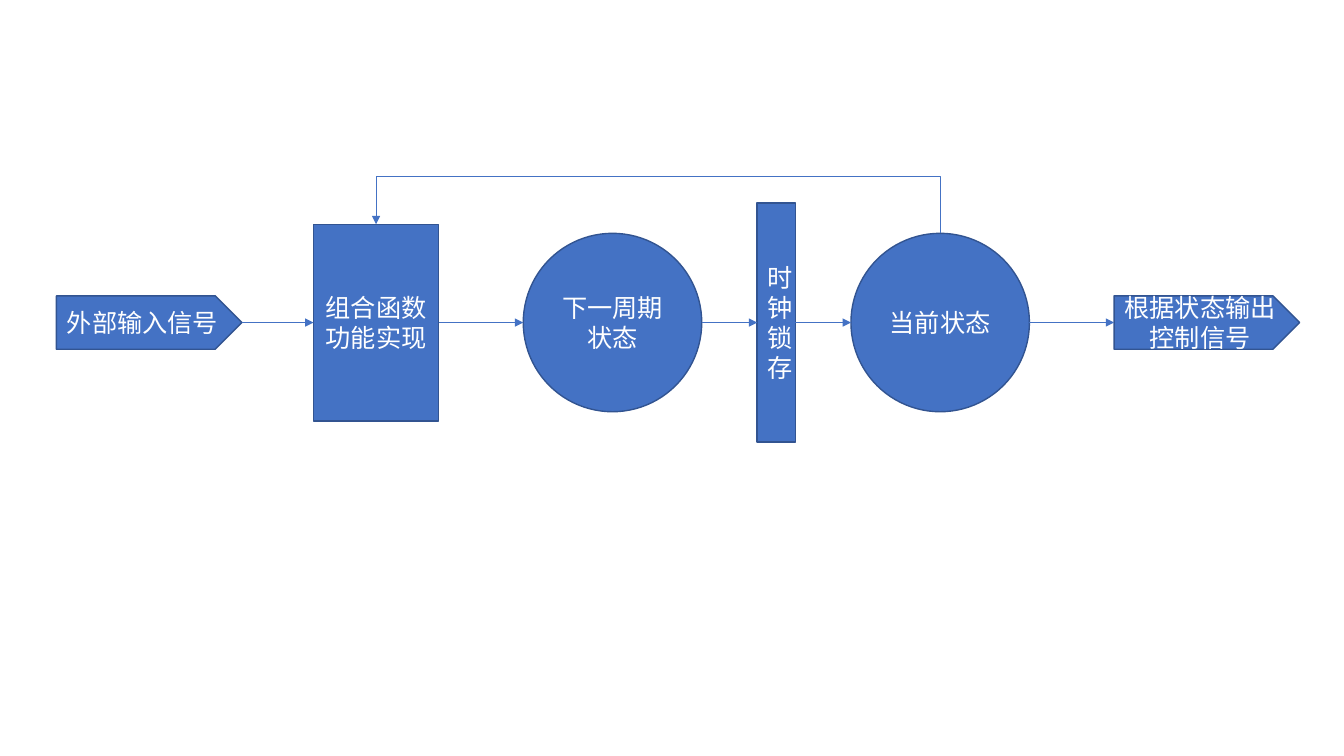
from lxml import etree
from pptx import Presentation
from pptx.dml.color import RGBColor
from pptx.enum.shapes import MSO_CONNECTOR, MSO_SHAPE
from pptx.enum.text import MSO_ANCHOR, PP_ALIGN
from pptx.oxml.ns import qn
from pptx.util import Inches, Pt

PENTAGON, RECTANGLE, OVAL = MSO_SHAPE.PENTAGON, MSO_SHAPE.RECTANGLE, MSO_SHAPE.OVAL
STRAIGHT, ELBOW = MSO_CONNECTOR.STRAIGHT, MSO_CONNECTOR.ELBOW
MIDDLE, CENTER = MSO_ANCHOR.MIDDLE, PP_ALIGN.CENTER

THEME = {
    "fill": RGBColor(0x44, 0x72, 0xC4),
    "outline": RGBColor(0x32, 0x54, 0x91),
    "text": RGBColor(0xFF, 0xFF, 0xFF),
    "font": "Noto Sans CJK SC",
    "size": Pt(18),
    "outline_width": Pt(1),
    "arrow_width": Pt(0.5),
}
FONT_FORMAT = {"name": THEME["font"], "size": THEME["size"]}

AXIS = 3.2  # height of the line on which every stage is centred
FEEDBACK_TOP = 1.75

# kind, left, width, height, text
STAGES = [
    (PENTAGON, 0.56, 1.84, 0.53, "外部输入信号"),
    (RECTANGLE, 3.11, 1.24, 1.95, "组合函数\n功能实现"),
    (OVAL, 5.19, 1.77, 1.77, "下一周期\n状态"),
    (RECTANGLE, 7.51, 0.38, 2.37, "时钟锁存"),
    (OVAL, 8.44, 1.77, 1.77, "当前状态"),
    (PENTAGON, 11.05, 1.84, 0.53, "根据状态输出控制信号"),
]
LOGIC, CURRENT = STAGES[1], STAGES[4]


def add_stage(slide, kind, left, width, height, text):
    """Draw one labelled stage centred on the axis."""
    box = slide.shapes.add_shape(
        kind, Inches(left), Inches(AXIS - height / 2), Inches(width), Inches(height))
    box.shadow.inherit = False
    box.fill.solid()
    box.fill.fore_color.rgb = THEME["fill"]
    box.line.color.rgb = THEME["outline"]
    box.line.width = THEME["outline_width"]
    frame = box.text_frame
    frame.word_wrap = True
    frame.vertical_anchor = MIDDLE
    frame.text = text
    for para in frame.paragraphs:
        para.alignment = CENTER
        for span in para.runs:
            for name, value in FONT_FORMAT.items():
                setattr(span.font, name, value)
            span.font.color.rgb = THEME["text"]
            east_asian = etree.Element(qn("a:ea"), typeface=THEME["font"])
            span.font._element.find(qn("a:latin")).addnext(east_asian)


def add_arrow(slide, kind, start, end):
    """Draw a thin connector with a triangle at its end."""
    arrow = slide.shapes.add_connector(kind, *(Inches(value) for value in start + end))
    arrow.line.color.rgb = THEME["fill"]
    arrow.line.width = THEME["arrow_width"]
    properties = arrow._element.spPr
    etree.SubElement(properties.find(qn("a:ln")), qn("a:tailEnd"), type="triangle")
    etree.SubElement(properties, qn("a:effectLst"))
    return arrow


deck = Presentation()
deck.slide_width, deck.slide_height = Inches(13.33), Inches(7.5)
page = deck.slides.add_slide(deck.slide_layouts[6])

for stage in STAGES:
    add_stage(page, *stage)

for source, target in zip(STAGES, STAGES[1:]):
    add_arrow(page, STRAIGHT, (source[1] + source[2], AXIS), (target[1], AXIS))

# The feedback elbow is laid out upright, then turned a quarter left about its centre.
logic_x, current_x = (stage[1] + stage[2] / 2 for stage in (LOGIC, CURRENT))
logic_y, current_y = (AXIS - stage[3] / 2 for stage in (LOGIC, CURRENT))
rise, reach = current_y - logic_y, current_x - logic_x
middle_x, middle_y = (logic_x + current_x) / 2, (logic_y + current_y) / 2
feedback = add_arrow(
    page, ELBOW,
    (middle_x - rise / 2, middle_y + reach / 2),
    (middle_x + rise / 2, middle_y - reach / 2))
feedback_properties = feedback._element.spPr
feedback_properties.find(qn("a:xfrm")).set("rot", str(270 * 60000))
bend = round((current_y - FEEDBACK_TOP) / rise * 100000)
adjustments = feedback_properties.find(qn("a:prstGeom")).find(qn("a:avLst"))
etree.SubElement(adjustments, qn("a:gd"), name="adj1", fmla=f"val {bend}")

deck.save("out.pptx")
